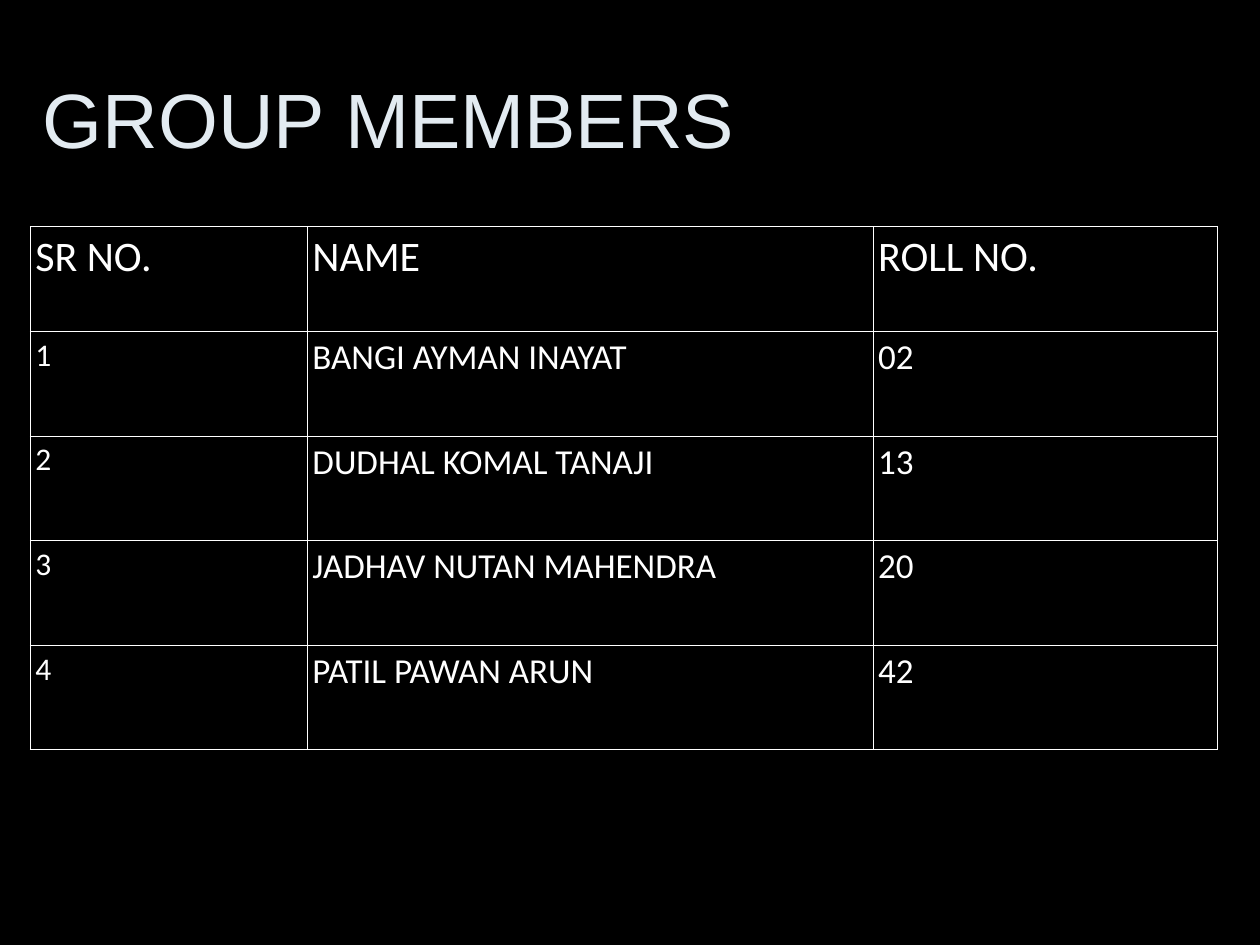
from lxml import etree
from pptx import Presentation
from pptx.dml.color import RGBColor
from pptx.enum.text import MSO_ANCHOR, PP_ALIGN
from pptx.oxml.ns import qn
from pptx.util import Inches, Pt

LEFT = PP_ALIGN.LEFT
TOP, MIDDLE = MSO_ANCHOR.TOP, MSO_ANCHOR.MIDDLE
TITLE_ONLY = 5

BLACK = RGBColor(0x00, 0x00, 0x00)
WHITE = RGBColor(0xFF, 0xFF, 0xFF)
PALE_BLUE = RGBColor(0xE3, 0xEB, 0xF1)

HEADINGS = ["SR NO.", "NAME", "ROLL NO."]
MEMBERS = [
    ("BANGI AYMAN INAYAT", "02"),
    ("DUDHAL KOMAL TANAJI", "13"),
    ("JADHAV NUTAN MAHENDRA", "20"),
    ("PATIL PAWAN ARUN", "42"),
]


def write_text(frame, text, *, font, size, color, anchor=TOP, align=LEFT):
    frame.word_wrap = True
    frame.vertical_anchor = anchor
    paragraph = frame.paragraphs[0]
    paragraph.alignment = align
    run = paragraph.add_run()
    run.text = text
    run.font.name = font
    run.font.size = Pt(size)
    run.font.color.rgb = color


class MemberSlide:
    title_font = "Arial"
    table_font = "Calibri"
    heading_size = 24
    column_sizes = (18, 20, 20)
    column_widths = (2.2, 4.49, 2.73)
    row_height = 0.83
    cell_margin = Inches(0.04)
    border_width = Pt(0.5)

    def __init__(self, slide):
        self.slide = slide
        background = slide.background.fill
        background.solid()
        background.fore_color.rgb = BLACK

    def title(self, text, left, top, width, height):
        title = self.slide.shapes.title
        title.left, title.top = Inches(left), Inches(top)
        title.width, title.height = Inches(width), Inches(height)
        write_text(title.text_frame, text, font=self.title_font, size=44,
                   color=PALE_BLUE, anchor=MIDDLE)

    def table(self, rows, left, top):
        frame = self.slide.shapes.add_table(
            len(rows), len(self.column_widths), Inches(left), Inches(top),
            Inches(sum(self.column_widths)), Inches(self.row_height * len(rows)))
        table = frame.table
        table.first_row = table.horz_banding = False
        for column, width in zip(table.columns, self.column_widths):
            column.width = Inches(width)
        for row_index, values in enumerate(rows):
            table.rows[row_index].height = Inches(self.row_height)
            for column_index, value in enumerate(values):
                size = self.column_sizes[column_index] if row_index else self.heading_size
                self.cell(table.cell(row_index, column_index), value, size)

    def cell(self, cell, text, size):
        cell.margin_left = cell.margin_right = self.cell_margin
        cell.margin_top = cell.margin_bottom = self.cell_margin
        cell.fill.background()
        self.border(cell)
        write_text(cell.text_frame, text, font=self.table_font, size=size, color=WHITE)

    def border(self, cell):
        properties = cell._tc.get_or_add_tcPr()
        for position, side in enumerate(("a:lnL", "a:lnR", "a:lnT", "a:lnB")):
            line = etree.Element(qn(side), w=str(self.border_width))
            fill = etree.SubElement(line, qn("a:solidFill"))
            etree.SubElement(fill, qn("a:srgbClr"), val=str(WHITE))
            properties.insert(position, line)


def main():
    presentation = Presentation()
    presentation.slide_width = Inches(10)
    presentation.slide_height = Inches(7.5)
    layout = presentation.slide_layouts[TITLE_ONLY]
    members = MemberSlide(presentation.slides.add_slide(layout))

    members.title("GROUP MEMBERS", 0.24, 0.31, 9.26, 1.25)
    numbered = [(str(number), *member) for number, member in enumerate(MEMBERS, 1)]
    members.table([HEADINGS, *numbered], 0.24, 1.8)
    presentation.save("out.pptx")


if __name__ == "__main__":
    main()
